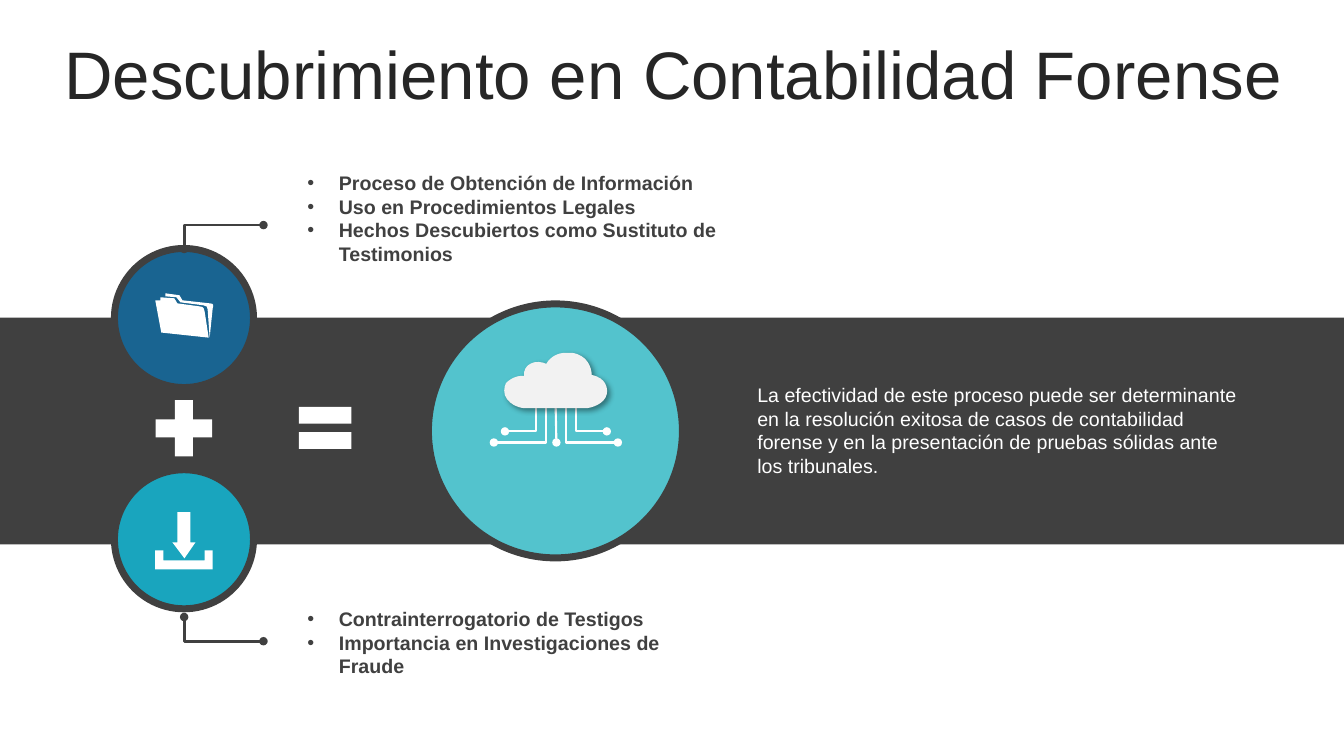
from lxml.etree import SubElement
from pptx import Presentation
from pptx.dml.color import RGBColor
from pptx.enum.shapes import MSO_CONNECTOR, MSO_SHAPE
from pptx.enum.text import MSO_ANCHOR, PP_ALIGN
from pptx.oxml.ns import qn
from pptx.util import Inches, Pt

DARK, INK, WHITE, CLOUD = "404040", "262626", "FFFFFF", "F2F2F2"
BLUE, TEAL, AQUA = "196491", "19A5BE", "53C3CD"
COLUMNS, ROWS = 133.33, 75


def color(code):
    return RGBColor.from_string(code)


def cells(count):
    return Inches(count / 10)


def add_xml(parent, tag, **values):
    return SubElement(parent, qn(tag), {key: str(value) for key, value in values.items()})


def grid_points(contour):
    return [(cells(x), cells(y)) for step in contour for x, y in zip(step[::2], step[1::2])]


class GridSlide:
    font = "Arial"

    def __init__(self, slide):
        self.slide = slide
        self.shapes = slide.shapes

    def paint(self, shape, fill, border=None):
        shape.shadow.inherit = False
        shape.fill.solid()
        shape.fill.fore_color.rgb = color(fill)
        if border:
            shape.line.color.rgb = color(border)
            shape.line.width = Pt(5)
        else:
            shape.line.fill.background()
        return shape

    def block(self, kind, box, fill, border=None):
        return self.paint(self.shapes.add_shape(kind, *map(cells, box)), fill, border)

    def text(self, box, lines, size, ink, bold=False, bullets=False,
             anchor=MSO_ANCHOR.TOP, **paragraph_format):
        frame = self.shapes.add_textbox(*map(cells, box)).text_frame
        frame.word_wrap = True
        frame.vertical_anchor = anchor
        frame.text = "\n".join(lines)
        for paragraph in frame.paragraphs:
            for name, value in paragraph_format.items():
                setattr(paragraph, name, value)
            font = paragraph.runs[0].font
            for name, value in {"name": self.font, "size": Pt(size), "bold": bold}.items():
                setattr(font, name, value)
            font.color.rgb = color(ink)
            if bullets:
                properties = paragraph._p.get_or_add_pPr()
                properties.set("marL", str(cells(3.13)))
                properties.set("indent", str(-cells(3.13)))
                add_xml(properties, "a:buFont", typeface=self.font)
                add_xml(properties, "a:buChar", char="•")

    def wire(self, start, end, ink, width, ends, bend=None, adjust=None):
        kind = MSO_CONNECTOR.ELBOW if bend else MSO_CONNECTOR.STRAIGHT
        connector = self.shapes.add_connector(kind, *map(cells, start + end))
        connector.line.color.rgb = color(ink)
        connector.line.width = Pt(width)
        properties = connector._element.spPr
        for tag in ends:
            add_xml(connector.line._get_or_add_ln(), tag, type="oval")
        add_xml(properties, "a:effectLst")
        if bend:
            geometry = properties.find(qn("a:prstGeom"))
            geometry.set("prst", bend)
            if adjust is not None:
                add_xml(geometry.find(qn("a:avLst")), "a:gd", name="adj1", fmla=f"val {adjust}")

    def outline(self, contours, fill):
        first, *others = map(grid_points, contours)
        builder = self.shapes.build_freeform(*first[0], scale=1.0)
        builder.add_line_segments(first[1:], close=True)
        for points in others:
            builder.move_to(*points[0])
            builder.add_line_segments(points[1:], close=True)
        shape = builder.convert_to_shape()
        segments = iter(list(shape._element.iter(qn("a:lnTo"))))
        for step in (step for contour in contours for step in contour[1:]):
            segment = next(segments)
            if len(step) == 6:
                curve = segment.makeelement(qn("a:cubicBezTo"))
                segment.addprevious(curve)
                for part in (segment, next(segments), next(segments)):
                    curve.append(part[0])
                    part.getparent().remove(part)
        return self.paint(shape, fill)

    def cast_shadow(self, shape):
        effects = shape._element.spPr.find(qn("a:effectLst"))
        shadow = add_xml(effects, "a:outerShdw", blurRad=Pt(4), dist=Pt(3),
                         dir=45 * 60000, algn="tl", rotWithShape=0)
        add_xml(add_xml(shadow, "a:srgbClr", val="000000"), "a:alpha", val=40000)


CLOUD_OUTLINE = [[
    (56.4, 35), (56.5, 35, 56.6, 35, 56.7, 35), (58.3, 35.2, 58.7, 36.5, 58.7, 37.2),
    (60.2, 37.5, 60.3, 38.6, 60.2, 39.1), (60, 40.1, 58.6, 40.5, 58.1, 40.5), (52, 40.5),
    (51.2, 40.4, 50.7, 40.1, 50.3, 39.6), (49.9, 39.1, 50, 38.4, 50.2, 38),
    (50.4, 37.8, 51.1, 37.2, 52, 37.3), (51.9, 36.8, 52.2, 36.3, 52.6, 36.1),
    (53.1, 35.8, 53.8, 35.9, 54.2, 36.1), (54.4, 35.7, 55.1, 34.9, 56.4, 35),
]]
FOLDER_OUTLINE = [
    [(15.9, 29.5), (17.3, 29.6), (17.6, 30.1), (19.8, 30.4),
     (20.2, 30.4, 20.3, 30.7, 20.3, 30.9), (20.7, 33.5), (16, 33), (15.4, 29.8), (15.9, 29.8)],
    [(16.4, 29.1), (17.8, 29.3), (18.1, 29.8), (20.8, 30.1),
     (21.2, 30.1, 21.2, 30.3, 21.1, 30.6), (20.8, 33.5), (20.6, 30.7),
     (20.6, 30.5, 20.5, 30.3, 20.2, 30.3), (17.9, 30), (17.5, 29.5), (16.4, 29.4),
     (16.4, 29.3, 16.4, 29.2, 16.4, 29.1)],
]
DOWNLOAD_OUTLINE = [
    [(15.4, 54.6), (16.2, 54.6), (16.2, 55.6), (20.3, 55.6), (20.3, 54.6),
     (21.1, 54.6), (21.1, 56.5), (15.4, 56.5)],
    [(17.6, 50.8), (18.9, 50.8), (18.9, 53.8), (19.4, 53.8), (18.3, 55.4),
     (17.1, 53.8), (17.6, 53.8)],
]


def main():
    deck = Presentation()
    deck.slide_width, deck.slide_height = cells(COLUMNS), cells(ROWS)
    page = GridSlide(deck.slides.add_slide(deck.slide_layouts[6]))

    page.text((3.5, 3.75, 126.6, 7.9), ["Descubrimiento en Contabilidad Forense"], 48, INK,
              anchor=MSO_ANCHOR.MIDDLE, alignment=PP_ALIGN.CENTER,
              line_spacing=0.9, space_before=Pt(10))
    page.block(MSO_SHAPE.RECTANGLE, (0, 31.5, COLUMNS, 22.5), DARK)
    for box, fill in (((11.35, 24.65, 13.8, 13.8), BLUE),
                      ((11.35, 46.6, 13.8, 13.8), TEAL),
                      ((42.5, 30.15, 25.2, 25.2), AQUA)):
        page.block(MSO_SHAPE.OVAL, box, fill, DARK)
    page.block(MSO_SHAPE.MATH_PLUS, (14.45, 38.7, 7.6, 7.6), WHITE)
    page.block(MSO_SHAPE.MATH_EQUAL, (28.7, 38.9, 7.1, 7.1), WHITE)

    page.text((74.15, 37.5, 50, 10.4), [
        "La efectividad de este proceso puede ser determinante en la resolución exitosa de casos "
        "de contabilidad forense y en la presentación de pruebas sólidas ante los tribunales."
    ], 14, WHITE)
    page.text((29.5, 59.75, 42.9, 8.1), [
        "Contrainterrogatorio de Testigos",
        "Importancia en Investigaciones de Fraude",
    ], 14, DARK, bold=True, bullets=True)
    page.text((29.5, 16.5, 42.9, 10.4), [
        "Proceso de Obtención de Información",
        "Uso en Procedimientos Legales",
        "Hechos Descubiertos como Sustituto de Testimonios",
    ], 14, DARK, bold=True, bullets=True)

    for label_row, circle_row in ((22.33, 24.7), (63.62, 61.22)):
        page.wire((26.14, label_row), (18.27, circle_row), DARK, 2,
                  ("a:headEnd", "a:tailEnd"), "bentConnector2")

    center = 55.15
    for side in (1, -1):
        for near, far, top, bottom, adjust in ((1.95, 5.05, 40.2, 42.8, 700),
                                               (0.85, 6.15, 39.8, 43.9, 2900)):
            page.wire((center + side * near, top), (center + side * far, bottom),
                      WHITE, 1.5, ("a:tailEnd",), "bentConnector3", adjust)
    page.wire((55.1, 39.1), (55.2, 43.9), WHITE, 1.5, ("a:tailEnd",))

    page.cast_shadow(page.outline(CLOUD_OUTLINE, CLOUD))
    page.outline(FOLDER_OUTLINE, WHITE)
    page.outline(DOWNLOAD_OUTLINE, WHITE)
    deck.save("out.pptx")


if __name__ == "__main__":
    main()
